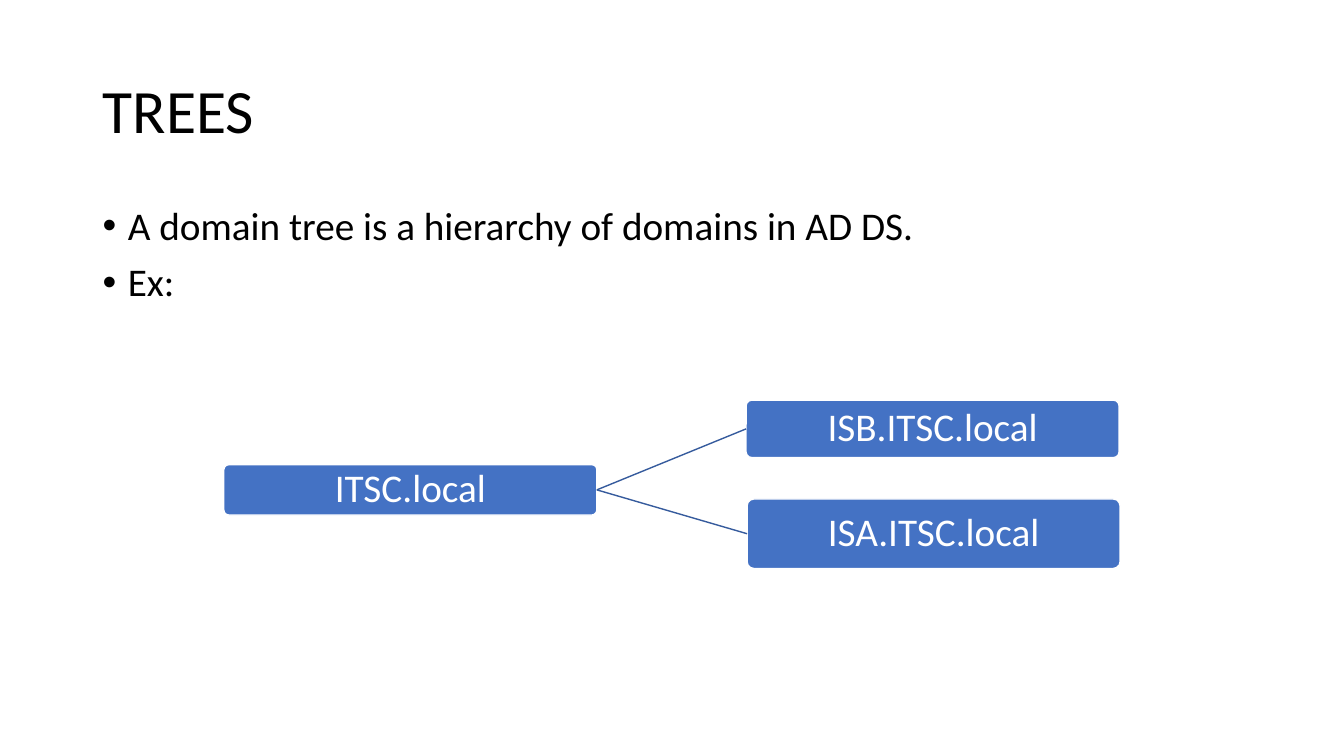
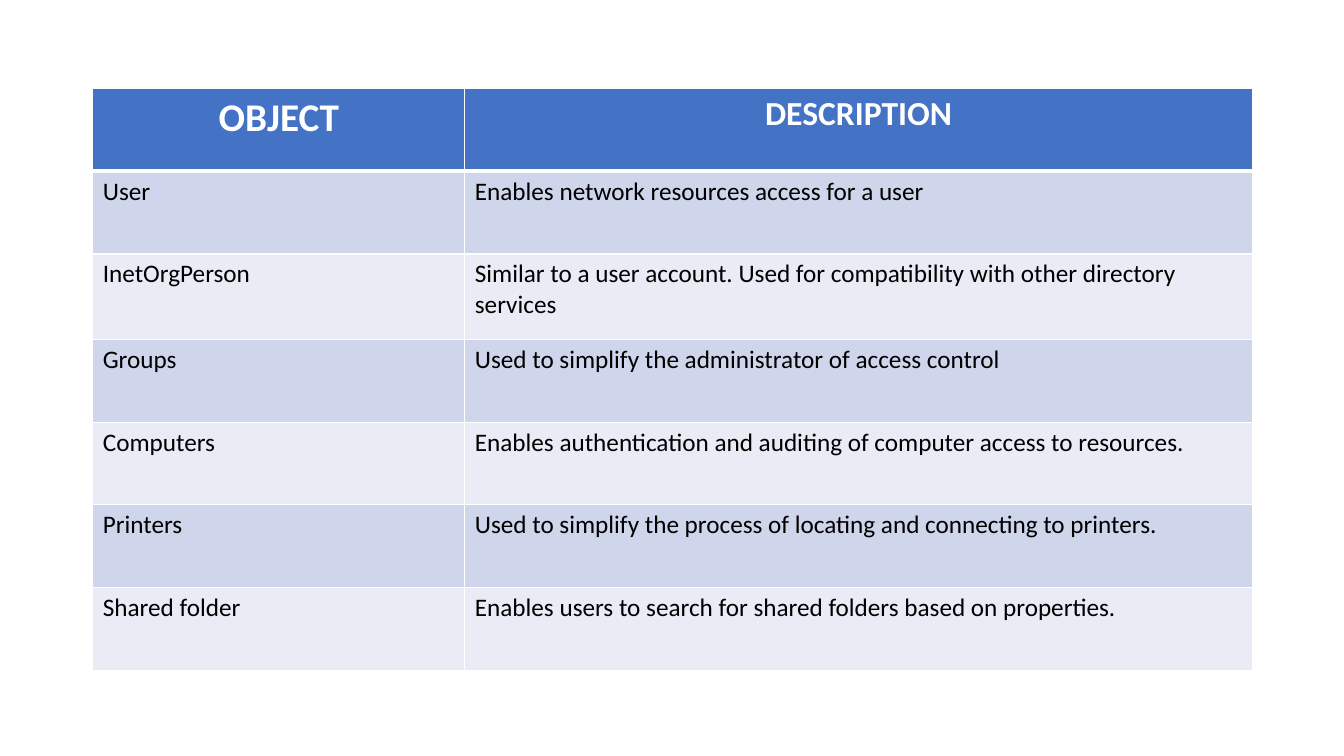
from lxml import etree
from pptx import Presentation
from pptx.dml.color import RGBColor
from pptx.enum.shapes import MSO_CONNECTOR, MSO_SHAPE
from pptx.enum.text import MSO_ANCHOR, PP_ALIGN
from pptx.oxml.ns import qn
from pptx.util import Inches, Pt

BLACK = RGBColor(0x00, 0x00, 0x00)
WHITE = RGBColor(0xFF, 0xFF, 0xFF)
BLUE = RGBColor(0x44, 0x72, 0xC4)
LINK_BLUE = RGBColor(0x36, 0x5B, 0x9D)
BANDS = (RGBColor(0xCF, 0xD5, 0xEA), RGBColor(0xE9, 0xEB, 0xF5))

FONT = "Calibri"
CENTER = PP_ALIGN.CENTER
MIDDLE = MSO_ANCHOR.MIDDLE
ROUNDED = MSO_SHAPE.ROUNDED_RECTANGLE
STRAIGHT = MSO_CONNECTOR.STRAIGHT
LEFT_SITE, RIGHT_SITE = 1, 3

MARGIN, CONTENT_WIDTH = 0.92, 11.5

TITLE = "TREES"
BULLETS = ["A domain tree is a hierarchy of domains in AD DS.", "Ex:"]
NODE_WIDTH = 3.7
# text, left, top, height
ROOT = ("ITSC.local", 2.22, 4.61, 0.5)
CHILDREN = [
    ("ISB.ITSC.local", 7.4, 3.97, 0.57),
    ("ISA.ITSC.local", 7.41, 4.95, 0.69),
]

HEADERS = [("OBJECT", 28), ("DESCRIPTION", 24)]
OBJECTS = [
    ("User", "Enables network resources access for a user"),
    ("InetOrgPerson", "Similar to a user account. Used for compatibility "
                      "with other directory services"),
    ("Groups", "Used to simplify the administrator of access control"),
    ("Computers", "Enables authentication and auditing of computer access to resources."),
    ("Printers", "Used to simplify the process of locating and connecting to printers."),
    ("Shared folder", "Enables users to search for shared folders based on properties."),
]
COLUMN_WIDTHS = (3.69, 7.81)
ROW_HEIGHTS = (0.82, 0.82, 0.85, 0.82, 0.82, 0.82, 0.82)
THIN, THICK = 1, 3


def style_text(para, size, color, bold=False):
    for span in para.runs:
        span.font.name = FONT
        span.font.size = Pt(size)
        span.font.bold = bold
        span.font.color.rgb = color


def add_text(page, top, height, lines, size):
    box = page.shapes.add_textbox(Inches(MARGIN), Inches(top),
                                  Inches(CONTENT_WIDTH), Inches(height))
    frame = box.text_frame
    frame.word_wrap = True
    frame.text = "\n".join(lines)
    for para in frame.paragraphs:
        para.line_spacing = 0.9
        style_text(para, size, BLACK)
    return frame


def add_bullet(para):
    para.space_before = Pt(10)
    props = para._p.get_or_add_pPr()
    props.set("marL", str(Inches(0.25)))
    props.set("indent", str(-Inches(0.25)))
    etree.SubElement(props, qn("a:buFont"), typeface="Arial")
    etree.SubElement(props, qn("a:buChar"), char="•")


def add_node(page, text, left, top, height):
    node = page.shapes.add_shape(ROUNDED, Inches(left), Inches(top),
                                 Inches(NODE_WIDTH), Inches(height))
    node.shadow.inherit = False
    node.adjustments[0] = 0.1
    node.fill.solid()
    node.fill.fore_color.rgb = BLUE
    node.line.color.rgb = WHITE
    node.line.width = Pt(1)
    frame = node.text_frame
    frame.margin_left = frame.margin_right = Inches(0.04)
    frame.margin_top = frame.margin_bottom = Inches(0.04)
    frame.vertical_anchor = MIDDLE
    frame.text = text
    para = frame.paragraphs[0]
    para.alignment = CENTER
    para.line_spacing = 0.9
    style_text(para, 28, WHITE)
    return node


def link_nodes(page, parent, child):
    link = page.shapes.add_connector(STRAIGHT, 0, 0, 0, 0)
    link.begin_connect(parent, RIGHT_SITE)
    link.end_connect(child, LEFT_SITE)
    link.line.color.rgb = LINK_BLUE
    link.line.width = Pt(1)
    etree.SubElement(link._element.spPr, qn("a:effectLst"))


def set_borders(cell, top, bottom):
    """Draw white borders; they must precede the fill in the cell properties."""
    props = cell._tc.get_or_add_tcPr()
    edges = (("L", THIN), ("R", THIN), ("T", top), ("B", bottom))
    for position, (edge, width) in enumerate(edges):
        line = etree.Element(qn(f"a:ln{edge}"), w=str(Pt(width)))
        fill = etree.SubElement(line, qn("a:solidFill"))
        etree.SubElement(fill, qn("a:srgbClr"), val=str(WHITE))
        props.insert(position, line)


def fill_cell(cell, text, fill, size, color, header=False, top=THIN):
    cell.text = text
    para = cell.text_frame.paragraphs[0]
    if header:
        para.alignment = CENTER
    style_text(para, size, color, bold=header)
    cell.fill.solid()
    cell.fill.fore_color.rgb = fill
    set_borders(cell, top, THICK if header else THIN)


def build_tree_slide(page):
    add_text(page, 0.4, 1.45, [TITLE], 44).vertical_anchor = MIDDLE
    for para in add_text(page, 2, 4.76, BULLETS, 28).paragraphs:
        add_bullet(para)
    root = add_node(page, *ROOT)
    for child in CHILDREN:
        link_nodes(page, root, add_node(page, *child))


def build_object_slide(page):
    table = page.shapes.add_table(
        len(ROW_HEIGHTS), len(COLUMN_WIDTHS), Inches(MARGIN), Inches(0.88),
        Inches(CONTENT_WIDTH), Inches(sum(ROW_HEIGHTS))).table
    for column, width in zip(table.columns, COLUMN_WIDTHS):
        column.width = Inches(width)
    for row, height in zip(table.rows, ROW_HEIGHTS):
        row.height = Inches(height)
    for column, (text, size) in enumerate(HEADERS):
        fill_cell(table.cell(0, column), text, BLUE, size, WHITE, header=True)
    for row, texts in enumerate(OBJECTS, start=1):
        for column, text in enumerate(texts):
            fill_cell(table.cell(row, column), text, BANDS[(row - 1) % 2], 18, BLACK,
                      top=THICK if row == 1 else THIN)


def main():
    deck = Presentation()
    deck.slide_width, deck.slide_height = Inches(13.33), Inches(7.5)
    blank = deck.slide_layouts[6]
    for build in (build_tree_slide, build_object_slide):
        build(deck.slides.add_slide(blank))
    deck.save("out.pptx")


if __name__ == "__main__":
    main()
